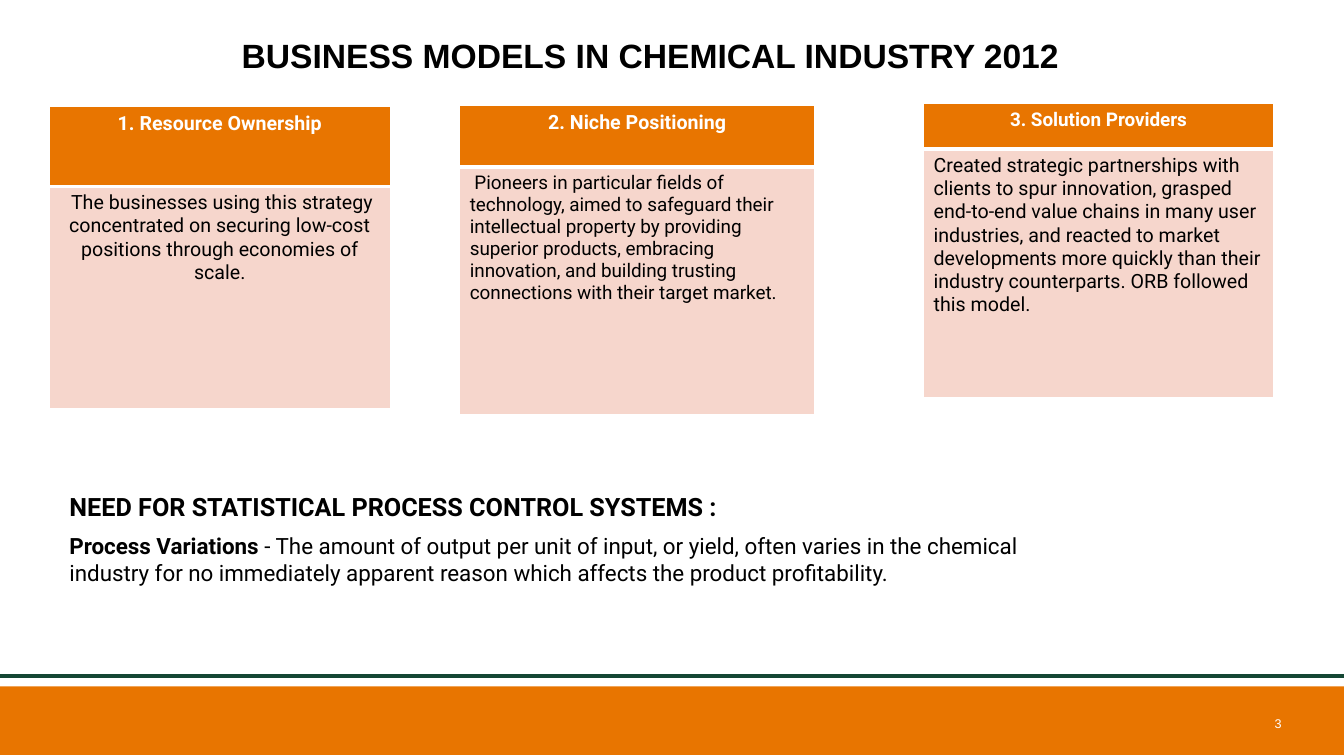
import pptx
import pptx.util
import pptx.dml.color
import pptx.enum.text
import pptx.enum.shapes
import pptx.oxml
import pptx.oxml.ns
import lxml.etree

Inches, Pt = pptx.util.Inches, pptx.util.Pt
ALIGN = pptx.enum.text.PP_ALIGN
MIDDLE = pptx.enum.text.MSO_ANCHOR.MIDDLE

COLORS = {"orange": "E87500", "pink": "F6D6CC", "green": "154734",
          "white": "FFFFFF", "black": "000000"}

TITLE = "BUSINESS MODELS IN CHEMICAL INDUSTRY 2012"
# left, top, width, row heights, (head, size), (body, size, alignment)
MODELS = [
    (0.49, 1.06, 3.38, (0.79, 2.2), ("1. Resource Ownership", 14),
     (" The businesses using this strategy concentrated on securing low-cost "
      "positions through economies of scale.", 14, ALIGN.CENTER)),
    (4.56, 1.05, 3.52, (0.61, 2.45), ("2. Niche Positioning", 14),
     (" Pioneers in particular fields of technology, aimed to safeguard their "
      "intellectual property by providing superior products, embracing "
      "innovation, and building trusting connections with their target market.",
      13.5, ALIGN.LEFT)),
    (9.16, 1.03, 3.47, (0.45, 2.46), ("3. Solution Providers", 13.5),
     ("Created strategic partnerships with clients to spur innovation, grasped "
      "end-to-end value chains in many user industries, and reacted to market "
      "developments more quickly than their industry counterparts. ORB followed "
      "this model.", 14, ALIGN.LEFT)),
]
# box, size, runs of (text, bold)
NOTES = [
    ((0.59, 4.83, 10.77, 0.4), 18,
     [("NEED FOR STATISTICAL PROCESS CONTROL SYSTEMS :", True)]),
    ((0.59, 5.23, 10.28, 0.64), 16,
     [("Process Variations", True),
      (" - The amount of output per unit of input, or yield, often varies in "
       "the chemical industry for no immediately apparent reason which affects "
       "the product profitability.", False)]),
]


def color(name):
    return pptx.dml.color.RGBColor.from_string(COLORS[name])


def write(para, text, size, bold=False, tint="black", face="Roboto"):
    run = para.add_run()
    run.text = text
    look = {"size": Pt(size), "bold": bold, "name": face}
    for key, value in look.items():
        setattr(run.font, key, value)
    run.font.color.rgb = color(tint)
    return run


def border(cell, widths):
    """Give a cell white edges, with widths in points by side."""
    props = cell._tc.get_or_add_tcPr()
    for spot, (side, width) in enumerate(widths.items()):
        props.insert(spot, pptx.oxml.parse_xml(
            f'<a:ln{side} {pptx.oxml.ns.nsdecls("a")} w="{Pt(width)}">'
            f'<a:solidFill><a:srgbClr val="{COLORS["white"]}"/></a:solidFill>'
            f'</a:ln{side}>'))


def add_model(slide, left, top, width, rows, head, body):
    frame = slide.shapes.add_table(2, 1, *map(Inches, (left, top, width, sum(rows))))
    table = frame.table
    looks = [
        (*head, ALIGN.CENTER, True, "white", "orange", {"L": 1, "R": 1, "T": 1, "B": 3}),
        (*body, False, "black", "pink", {"L": 1, "R": 1, "T": 3, "B": 1}),
    ]
    for row, (text, size, align, bold, tint, fill, edges) in enumerate(looks):
        table.rows[row].height = Inches(rows[row])
        cell = table.cell(row, 0)
        cell.fill.solid()
        cell.fill.fore_color.rgb = color(fill)
        border(cell, edges)
        para = cell.text_frame.paragraphs[0]
        para.alignment = align
        write(para, text, size, bold, tint)


def add_box(slide, box):
    frame = slide.shapes.add_textbox(*map(Inches, box)).text_frame
    frame.word_wrap = True
    return frame


def add_footer(slide):
    band = slide.shapes.add_shape(pptx.enum.shapes.MSO_SHAPE.RECTANGLE,
                                  *map(Inches, (0, 6.81, 13.33, 0.68)))
    band.shadow.inherit = False
    band.fill.solid()
    band.fill.fore_color.rgb = color("orange")
    band.line.fill.background()

    rule = slide.shapes.add_connector(pptx.enum.shapes.MSO_CONNECTOR.STRAIGHT,
                                      *map(Inches, (0, 6.71, 13.33, 6.71)))
    rule.line.color.rgb = color("green")
    rule.line.width = Pt(3)
    lxml.etree.SubElement(rule._element.spPr, pptx.oxml.ns.qn("a:effectLst"))


def add_number(slide):
    frame = add_box(slide, (12.42, 7.07, 0.39, 0.21))
    frame.vertical_anchor = MIDDLE
    for side in ("left", "right", "top", "bottom"):
        setattr(frame, f"margin_{side}", 0)
    # Keep the number clear of the right edge of its box
    frame.margin_right = Inches(0.1)
    para = frame.paragraphs[0]
    para.alignment = ALIGN.RIGHT
    write(para, "3", 9, tint="white", face="Arial")


def main():
    deck = pptx.Presentation()
    deck.slide_width, deck.slide_height = Inches(13.33), Inches(7.5)
    slide = deck.slides.add_slide(deck.slide_layouts[5])
    add_footer(slide)

    title = slide.shapes.title
    place = dict(zip(("left", "top", "width", "height"), (0.7, 0.23, 11.5, 0.68)))
    for key, value in place.items():
        setattr(title, key, Inches(value))
    title.text_frame.vertical_anchor = MIDDLE
    para = title.text_frame.paragraphs[0]
    para.alignment = ALIGN.CENTER
    para.line_spacing = 0.9
    write(para, TITLE, 24, True, face="Arial")

    add_number(slide)
    for model in MODELS:
        add_model(slide, *model)
    for box, size, runs in NOTES:
        para = add_box(slide, box).paragraphs[0]
        for text, bold in runs:
            write(para, text, size, bold)
    deck.save("out.pptx")


if __name__ == "__main__":
    main()
